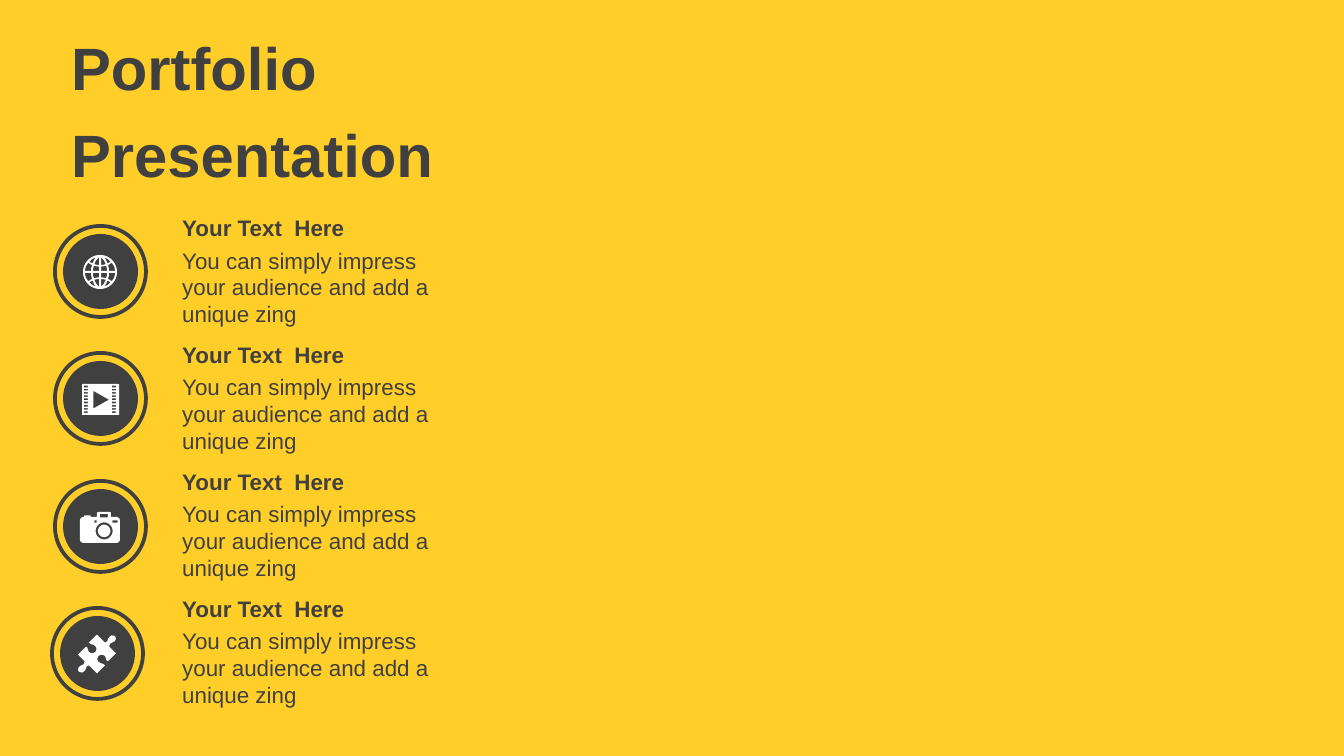
from itertools import product
from math import cos, pi, sin

from pptx import Presentation
from pptx.dml.color import RGBColor
from pptx.enum.shapes import MSO_SHAPE
from pptx.enum.text import MSO_ANCHOR
from pptx.util import Pt

PX = 914400 / 134.4
YELLOW = RGBColor(0xFF, 0xCE, 0x29)
CHARCOAL = RGBColor(0x40, 0x40, 0x40)
WHITE = RGBColor(0xFF, 0xFF, 0xFF)

presentation = Presentation()
presentation.slide_width = round(1344 * PX)
presentation.slide_height = round(756 * PX)
slide = presentation.slides.add_slide(presentation.slide_layouts[6])
slide.background.fill.solid()
slide.background.fill.fore_color.rgb = YELLOW


def add_text(text, left, top, width, height, size=12, bold=False,
             space_before=0, anchor=MSO_ANCHOR.TOP):
    """Add a text box with one paragraph for each line of text."""
    box = slide.shapes.add_textbox(*(round(n * PX) for n in (left, top, width, height)))
    frame = box.text_frame
    frame.word_wrap = True
    frame.vertical_anchor = anchor
    frame.text = text
    for paragraph in frame.paragraphs:
        paragraph.space_before = Pt(space_before)
        font = paragraph.font
        font.name = "Arial"
        font.size = Pt(size)
        font.bold = bold
        font.color.rgb = CHARCOAL


def add_icon(contours, center_x, center_y):
    """Draw closed contours around a centre; inner contours become holes."""
    detail = 100
    builder = None
    for contour in contours:
        points = [(x * detail, y * detail) for x, y in contour]
        if builder is None:
            builder = slide.shapes.build_freeform(*points[0], scale=PX / detail)
        else:
            builder.move_to(*points[0])
        builder.add_line_segments(points[1:], close=True)
    icon = builder.convert_to_shape(round(center_x * PX), round(center_y * PX))
    icon.shadow.inherit = False
    icon.fill.solid()
    icon.fill.fore_color.rgb = WHITE
    icon.line.fill.background()


unit_circle = [(cos(step * pi / 24), sin(step * pi / 24)) for step in range(48)]

# Globe: the four quarters mirror each other
globe_cells = [
    [(1, 1), (7, 1), (6.8, 4), (6, 6.2), (3.5, 5.6), (1, 5.4)],
    [(9, 1), (15.2, 1), (14.2, 5.5), (11.8, 9.3), (10, 8), (8, 7), (8.7, 4)],
    [(1, 7), (3.5, 7.2), (5.7, 7.8), (4, 11.5), (1, 14.8)],
    [(7.4, 8.6), (9, 9.2), (10.5, 10.4), (8, 12.8), (4, 14.6), (6, 12)],
]
globe = [[(17 * x, 17 * y) for x, y in unit_circle]]
for flip_x, flip_y in product((1, -1), repeat=2):
    globe += [[(flip_x * x, flip_y * y) for x, y in cell] for cell in globe_cells]

# Film strip: a frame, a play sign and two columns of nine holes
film = [
    [(-18, -15), (19, -15), (19, 16), (-18, 16)],
    [(-6.5, -8), (-6.5, 9.5), (9, 0.8)],
]
for row, left in product(range(9), (-16, 12)):
    top = -13.2 + 3.2 * row
    film.append([(left, top), (left + 4, top), (left + 4, top + 1.6), (left, top + 1.6)])

camera = [
    [(-17, -10), (-16, -10), (-15.5, -11.5), (-9.5, -11.5), (-9, -10), (-3, -10),
     (-3, -14), (-2, -15), (10, -15), (11, -14), (11, -10), (17, -10),
     (19, -9), (20, -7), (20, 13), (19, 15), (17, 16), (-17, 16),
     (-19, 15), (-20, 13), (-20, -7), (-19, -9)],
    [(0, -13), (8, -13), (8, -9.5), (0, -9.5)],
    [(-5.5, -6.5), (-3.2, -6.5), (-3.2, -4.2), (-5.5, -4.2)],
    [(12.5, -6.5), (17.8, -6.5), (17.8, -4.2), (12.5, -4.2)],
]
for radius in (8.5, 6.2):
    camera.append([(4.2 + radius * x, 4 + radius * y) for x, y in unit_circle])

# Puzzle piece: the second half is the first turned half round
puzzle_half = [
    (17.2, -18.2), (18.7, -17), (19, -15), (17.8, -12.8), (15.8, -11.6), (13.2, -10.4),
    (12.2, -7.5), (19, -0.7), (10.9, 7.3), (9.4, 6.2), (9, 4), (8, 2), (6, 0.9),
    (3.5, 0.9), (1.5, 2), (0.5, 4), (0.4, 6), (1.5, 7.8), (3.5, 9.2), (6, 9.8),
    (8.2, 11.4), (0, 19.4), (-8, 11.4), (-10.4, 12.6), (-11, 15), (-12.4, 17),
    (-14.5, 18.6),
]
puzzle = [puzzle_half + [(-x, -y) for x, y in puzzle_half]]

add_text("Portfolio\nPresentation", 58, 22, 434, 176, size=32, bold=True,
         space_before=8, anchor=MSO_ANCHOR.MIDDLE)

badges = [(55, globe), (55, film), (55, camera), (52, puzzle)]
for row, (badge_left, icon_contours) in enumerate(badges):
    badge_top = 226 + 255 * row // 2
    for inset, color in ((0, YELLOW), (8, CHARCOAL)):
        size = 91 - 2 * inset
        circle = slide.shapes.add_shape(
            MSO_SHAPE.OVAL, round((badge_left + inset) * PX),
            round((badge_top + inset) * PX), round(size * PX), round(size * PX))
        circle.shadow.inherit = False
        circle.fill.solid()
        circle.fill.fore_color.rgb = color
        if inset:
            circle.line.fill.background()
        else:
            circle.line.color.rgb = CHARCOAL
            circle.line.width = Pt(2)
    add_icon(icon_contours, badge_left + 45, badge_top + 46)

    text_top = 208 + 127 * row
    add_text("Your Text  Here", 169, text_top, 296, 40, bold=True)
    add_text("You can simply impress your audience and add a unique zing",
             169, text_top + 32, 296, 95)

presentation.save("out.pptx")
